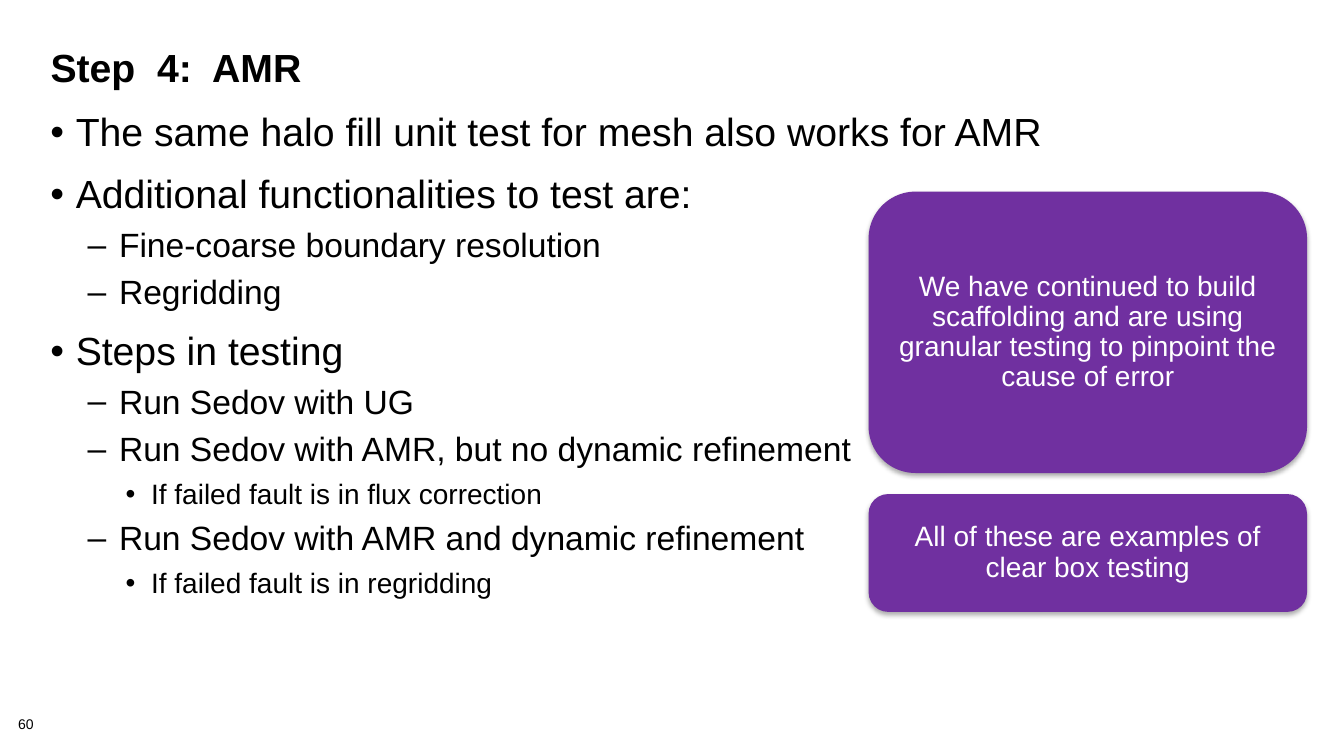
from dataclasses import dataclass

from lxml.etree import SubElement
from pptx import Presentation
from pptx.dml.color import RGBColor
from pptx.enum.shapes import MSO_SHAPE
from pptx.enum.text import MSO_ANCHOR, PP_ALIGN
from pptx.oxml.ns import qn
from pptx.util import Cm, Pt


@dataclass(frozen=True)
class Theme:
    font: str = "Arial"
    ink: RGBColor = RGBColor(0x00, 0x00, 0x00)
    paper: RGBColor = RGBColor(0xFF, 0xFF, 0xFF)
    callout: RGBColor = RGBColor(0x70, 0x30, 0xA0)
    title_size: int = 28
    level_sizes: tuple = (28, 24, 20)
    callout_size: int = 20
    number_size: int = 10
    line_spacing: float = 0.9
    title_spacing: float = 0.85


BULLET_LEVELS = (
    ("•", 0.64, -0.64, 14),
    ("–", 1.73, -0.79, 8),
    ("•", 2.54, -0.64, 8),
)

TEST_PLAN = (
    (0, "The same halo fill unit test for mesh also works for AMR"),
    (0, "Additional functionalities to test are:"),
    (1, "Fine-coarse boundary resolution"),
    (1, "Regridding"),
    (0, "Steps in testing"),
    (1, "Run Sedov with UG"),
    (1, "Run Sedov with AMR, but no dynamic refinement"),
    (2, "If failed fault is in flux correction"),
    (1, "Run Sedov with AMR and dynamic refinement"),
    (2, "If failed fault is in regridding"),
)

CALLOUTS = (
    (4.83, 7.09, "We have continued to build scaffolding and are using "
                 "granular testing to pinpoint the cause of error"),
    (12.45, 2.97, "All of these are examples of clear box testing"),
)


class SlideBuilder:
    def __init__(self, presentation, theme):
        self.theme = theme
        self.slide = presentation.slides.add_slide(presentation.slide_layouts[5])
        self.slide.background.fill.solid()
        self.slide.background.fill.fore_color.rgb = theme.paper

    def style(self, paragraph, size, color, spacing, bold=False):
        paragraph.line_spacing = spacing
        font = paragraph.font
        font.name = self.theme.font
        font.size = Pt(size)
        font.bold = bold
        font.color.rgb = color

    def title(self, text, left, top, width, height):
        shape = self.slide.shapes.title
        shape.left, shape.top = Cm(left), Cm(top)
        shape.width, shape.height = Cm(width), Cm(height)
        frame = shape.text_frame
        frame.text = text
        frame.vertical_anchor = MSO_ANCHOR.TOP
        paragraph = frame.paragraphs[0]
        paragraph.alignment = PP_ALIGN.LEFT
        self.style(paragraph, self.theme.title_size, self.theme.ink,
                   self.theme.title_spacing, bold=True)

    def text_frame(self, left, top, width, height):
        shape = self.slide.shapes.add_textbox(Cm(left), Cm(top), Cm(width), Cm(height))
        shape.text_frame.word_wrap = True
        return shape.text_frame

    def bullets(self, items, left, top, width, height):
        frame = self.text_frame(left, top, width, height)
        for index, (level, text) in enumerate(items):
            paragraph = frame.add_paragraph() if index else frame.paragraphs[0]
            paragraph.text = text
            paragraph.level = level
            mark, margin, indent, space = BULLET_LEVELS[level]
            properties = paragraph._p.get_or_add_pPr()
            properties.set("marL", str(Cm(margin)))
            properties.set("indent", str(Cm(indent)))
            color = SubElement(properties, qn("a:buClr"))
            SubElement(color, qn("a:srgbClr"), val=str(self.theme.ink))
            SubElement(properties, qn("a:buFont"), typeface=self.theme.font)
            SubElement(properties, qn("a:buChar"), char=mark)
            paragraph.space_before = Pt(space if index else 0)
            self.style(paragraph, self.theme.level_sizes[level], self.theme.ink,
                       self.theme.line_spacing)

    def callout(self, text, left, top, width, height):
        shape = self.slide.shapes.add_shape(
            MSO_SHAPE.ROUNDED_RECTANGLE, Cm(left), Cm(top), Cm(width), Cm(height))
        shape.fill.solid()
        shape.fill.fore_color.rgb = self.theme.callout
        shape.line.fill.background()
        self.soft_shadow(shape)
        frame = shape.text_frame
        frame.word_wrap = True
        frame.vertical_anchor = MSO_ANCHOR.MIDDLE
        frame.margin_left = frame.margin_right = Cm(0.33)
        frame.margin_top = frame.margin_bottom = Cm(0.18)
        frame.text = text
        paragraph = frame.paragraphs[0]
        paragraph.alignment = PP_ALIGN.CENTER
        self.style(paragraph, self.theme.callout_size, self.theme.paper,
                   self.theme.line_spacing)

    def soft_shadow(self, shape):
        shape.shadow.inherit = False
        effects = shape._element.spPr.find(qn("a:effectLst"))
        shadow = SubElement(effects, qn("a:outerShdw"), blurRad=str(Pt(3.5)),
                            dist=str(Pt(2.2)), dir="5400000", rotWithShape="0")
        color = SubElement(shadow, qn("a:srgbClr"), val=str(self.theme.ink))
        SubElement(color, qn("a:alpha"), val="32000")

    def page_number(self, text, left, top, width, height):
        frame = self.text_frame(left, top, width, height)
        frame.margin_left = frame.margin_right = 0
        frame.margin_top = frame.margin_bottom = 0
        frame.text = text
        self.style(frame.paragraphs[0], self.theme.number_size, self.theme.ink,
                   self.theme.line_spacing)


def main():
    presentation = Presentation()
    presentation.slide_width = Cm(33.87)
    presentation.slide_height = Cm(19.05)
    builder = SlideBuilder(presentation, Theme())
    builder.page_number("60", 0.46, 18.08, 1.42, 0.41)
    builder.bullets(TEST_PLAN, 1.02, 2.72, 28.14, 13.26)
    builder.title("Step  4:  AMR", 1.02, 1.14, 31.6, 2.54)
    for top, height, text in CALLOUTS:
        builder.callout(text, 21.89, top, 11.05, height)
    presentation.save("out.pptx")


if __name__ == "__main__":
    main()
